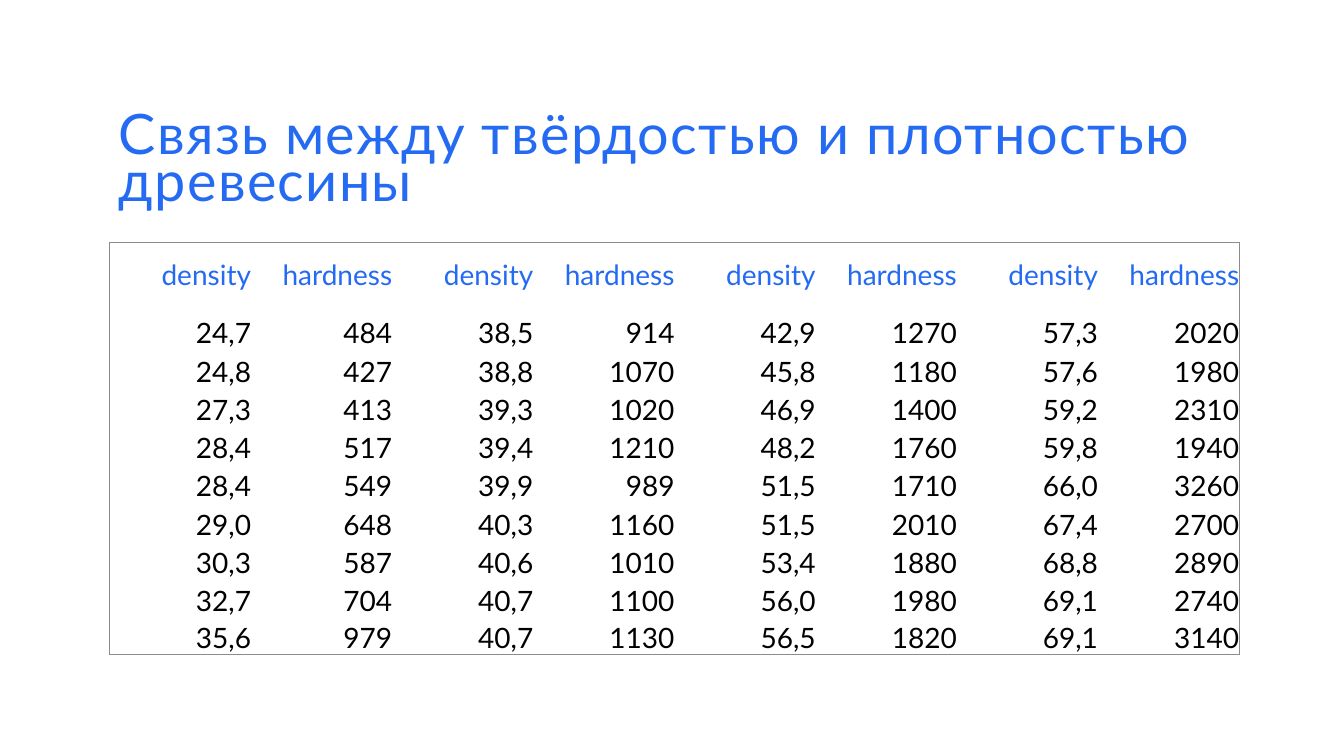
from lxml import etree
from pptx import Presentation
from pptx.dml.color import RGBColor
from pptx.enum.text import MSO_ANCHOR, MSO_AUTO_SIZE, PP_ALIGN
from pptx.oxml.ns import qn
from pptx.util import Pt

PX = 9144  # 100 px to the inch
LEFT, RIGHT = PP_ALIGN.LEFT, PP_ALIGN.RIGHT
MIDDLE, BOTTOM = MSO_ANCHOR.MIDDLE, MSO_ANCHOR.BOTTOM
NO_AUTOFIT = MSO_AUTO_SIZE.NONE
FONT = "Lato"
COLORS = {"heading": "246AF3", "value": "000000", "frame": "8C8C8C"}

HEADINGS = ["density", "hardness"] * 4
MEASUREMENTS = [
    "24,7 484 38,5 914 42,9 1270 57,3 2020",
    "24,8 427 38,8 1070 45,8 1180 57,6 1980",
    "27,3 413 39,3 1020 46,9 1400 59,2 2310",
    "28,4 517 39,4 1210 48,2 1760 59,8 1940",
    "28,4 549 39,9 989 51,5 1710 66,0 3260",
    "29,0 648 40,3 1160 51,5 2010 67,4 2700",
    "30,3 587 40,6 1010 53,4 1880 68,8 2890",
    "32,7 704 40,7 1100 56,0 1980 69,1 2740",
    "35,6 979 40,7 1130 56,5 1820 69,1 3140",
]
ROW_HEIGHTS = [63, 43] + [38] * 7 + [36]


def add_run(paragraph, text, size, color):
    run = paragraph.add_run()
    run.text = text
    run.font.name = FONT
    run.font.size = Pt(size)
    run.font.bold = False
    run.font.color.rgb = RGBColor.from_string(COLORS[color])
    return run


def add_heading(slide, box, text):
    heading = slide.shapes.title
    heading.left, heading.top, heading.width, heading.height = (n * PX for n in box)
    frame = heading.text_frame
    frame.word_wrap = True
    frame.auto_size = NO_AUTOFIT
    frame.vertical_anchor = MIDDLE
    paragraph = frame.paragraphs[0]
    paragraph.alignment = LEFT
    paragraph.line_spacing = 0.7
    run = add_run(paragraph, text, 39.8, "heading")
    run.font._element.set("spc", "100")


def set_borders(cell, sides):
    """Draw the listed sides of a cell and clear the others."""
    properties = cell._tc.get_or_add_tcPr()
    for position, side in enumerate("LRTB"):
        line = etree.Element(qn(f"a:ln{side}"), w=str(Pt(0.75)))
        if side in sides:
            fill = etree.SubElement(line, qn("a:solidFill"))
            etree.SubElement(fill, qn("a:srgbClr"), val=COLORS["frame"])
        else:
            etree.SubElement(line, qn("a:noFill"))
        properties.insert(position, line)


def add_measurements(slide, box, rows):
    left, top, width, height = box
    row_count, column_count = len(rows), len(rows[0])
    table = slide.shapes.add_table(
        row_count, column_count, left * PX, top * PX, width * PX, height * PX
    ).table
    table.first_row = table.horz_banding = False
    for column in table.columns:
        column.width = width // column_count * PX
    for row, row_height in zip(table.rows, ROW_HEIGHTS):
        row.height = row_height * PX

    for r, values in enumerate(rows):
        for c, value in enumerate(values):
            cell = table.cell(r, c)
            cell.fill.background()
            cell.margin_left = cell.margin_right = 0
            cell.margin_top = cell.margin_bottom = 0
            cell.vertical_anchor = BOTTOM if r else MIDDLE
            paragraph = cell.text_frame.paragraphs[0]
            paragraph.alignment = RIGHT
            add_run(paragraph, value, 20, "value" if r else "heading")
            # Only the outer frame of the table is drawn
            edges = {"L": c == 0, "R": c == column_count - 1,
                     "T": r == 0, "B": r == row_count - 1}
            set_borders(cell, [side for side, outer in edges.items() if outer])


def main():
    presentation = Presentation()
    presentation.slide_width = 1333 * PX
    presentation.slide_height = 750 * PX
    slide = presentation.slides.add_slide(presentation.slide_layouts[5])
    add_heading(slide, (108, 108, 1118, 109),
                "Связь между твёрдостью и плотностью древесины")
    add_measurements(slide, (109, 241, 1120, sum(ROW_HEIGHTS)),
                     [HEADINGS] + [line.split() for line in MEASUREMENTS])
    presentation.save("out.pptx")


if __name__ == "__main__":
    main()
